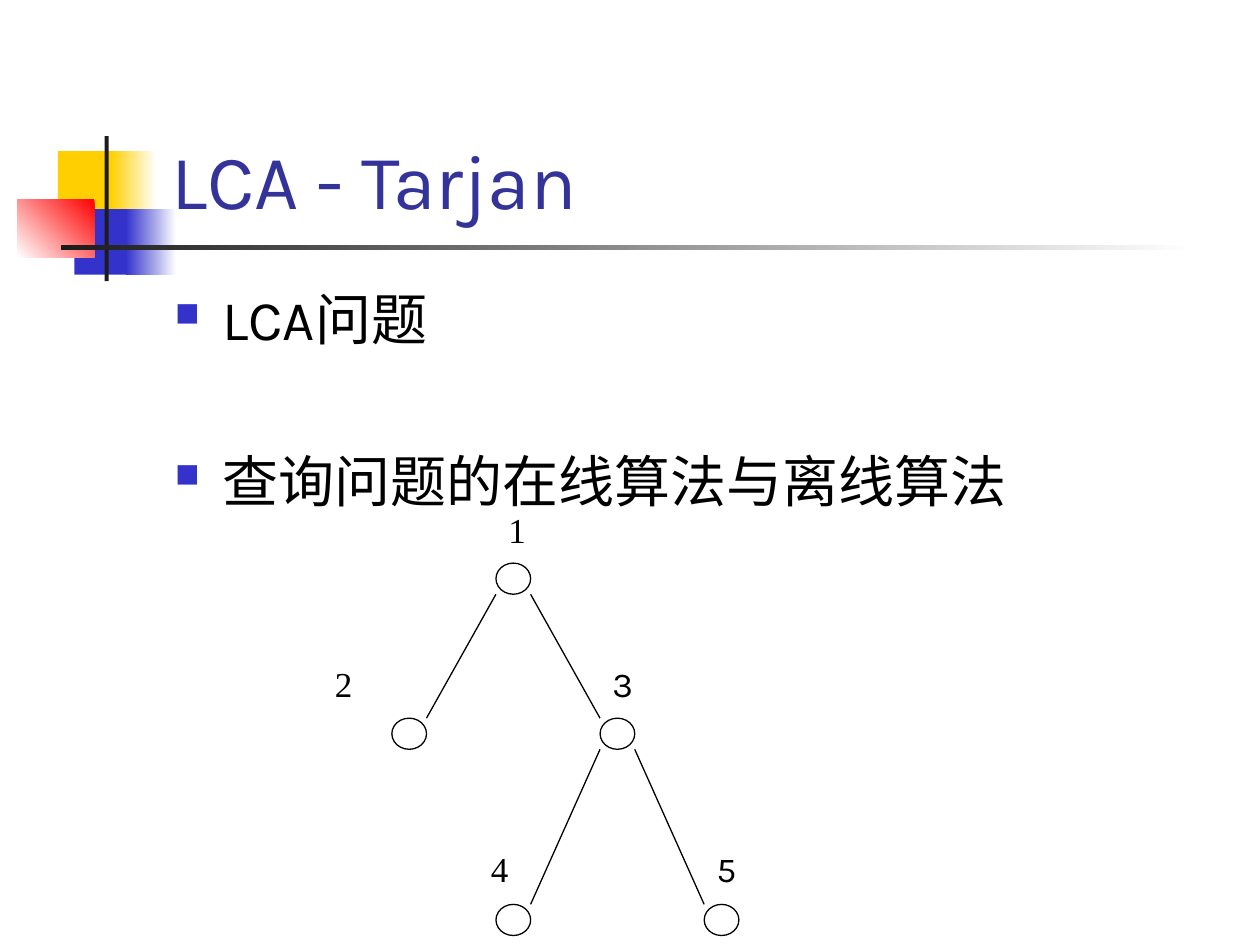
import pptx
import pptx.util
import pptx.dml.color
import pptx.enum.shapes
import pptx.enum.text
import pptx.oxml.ns
import lxml.etree

Pt = pptx.util.Pt
RGB = pptx.dml.color.RGBColor
SHAPE = pptx.enum.shapes.MSO_SHAPE
ANCHOR = pptx.enum.text.MSO_ANCHOR
ALIGN = pptx.enum.text.PP_ALIGN
qn = pptx.oxml.ns.qn

WHITE = RGB(0xFF, 0xFF, 0xFF)
BLACK = RGB(0, 0, 0)
YELLOW = RGB(0xFF, 0xCF, 0x01)
BLUE = RGB(0x33, 0x33, 0xCC)
RED = RGB(0xFF, 0, 0)
DARK = RGB(0x1C, 0x1C, 0x1C)
NAVY = RGB(0x33, 0x33, 0x99)
SANS, SERIF = "Karla", "Times New Roman"

TITLE = "LCA - Tarjan"
# text, space before
BULLETS = [("LCA问题", 8), ("查询问题的在线算法与离线算法", 54)]

# left, top, width, height, colours, counter-clockwise gradient angle
DECOR = [
    (33.1, 86.4, 34.6, 37.4, [YELLOW], 0),
    (63.4, 86.4, 25.9, 37.4, [WHITE, YELLOW], 180),
    (42.5, 119.5, 33.1, 37.4, [BLUE], 0),
    (72, 119.5, 28.8, 37.4, [WHITE, BLUE], 180),
    (10, 113.8, 44, 33.1, [RED, WHITE], 225),
    (59.8, 77.8, 2.3, 82.8, [DARK], 0),
    (34.6, 140.2, 648, 2.4, [WHITE, DARK], 180),
]

# name: column, level, label shift from the node's left, label font
NODES = {
    "1": (1, 0, 0, SERIF),
    "2": (0, 1, -39.6, SERIF),
    "3": (2, 1, 0, SANS),
    "4": (1, 2, -10, SERIF),
    "5": (3, 2, 0, SANS),
}
EDGES = [("1", "2"), ("1", "3"), ("3", "4"), ("3", "5")]
TREE_LEFT, COLUMN_STEP = 223.9, 59.5
LEVEL_TOPS, LABEL_TOPS = [321.8, 410.4, 516.8], [287.3, 375.1, 481]
NODE_W, NODE_H = 19.8, 17.8


def add_child(parent, tag, **attrs):
    child = lxml.etree.SubElement(parent, qn(tag))
    for name, value in attrs.items():
        child.set(name, value)
    return child


def add_shape(s, kind, box):
    sp = s.shapes.add_shape(kind, *map(Pt, box))
    sp.shadow.inherit = False
    return sp


def add_decor(s, box, colours, angle):
    sp = add_shape(s, SHAPE.RECTANGLE, box)
    sp.line.fill.background()
    if len(colours) == 1:
        sp.fill.solid()
        sp.fill.fore_color.rgb = colours[0]
    else:
        sp.fill.gradient()
        sp.fill.gradient_angle = angle
        for stop, colour in zip(sp.fill.gradient_stops, colours):
            stop.color.rgb = colour


def add_text_frame(s, box, anchor=ANCHOR.TOP):
    tf = s.shapes.add_textbox(*map(Pt, box)).text_frame
    tf.word_wrap = True
    tf.vertical_anchor = anchor
    return tf


def add_run(p, text, colour=BLACK, **fmt):
    r = p.add_run()
    r.text = text
    for name, value in fmt.items():
        setattr(r.font, name, value)
    r.font.color.rgb = colour
    add_child(r.font._element, "a:ea", typeface=fmt["name"])


def add_bullet(p):
    pPr = p._p.get_or_add_pPr()
    pPr.set("marL", str(Pt(27)))
    pPr.set("indent", str(-Pt(27)))
    add_child(add_child(pPr, "a:buClr"), "a:srgbClr", val=str(BLUE))
    add_child(pPr, "a:buSzPct", val="60000")
    add_child(pPr, "a:buChar", char="■")


def node_corner(name):
    column, level = NODES[name][:2]
    return TREE_LEFT + column * COLUMN_STEP, LEVEL_TOPS[level]


def add_edge(s, parent, child):
    """Join the parent's lower corner to the child's facing upper corner."""
    (px, py), (cx, cy) = node_corner(parent), node_corner(child)
    if cx < px:
        cx += NODE_W
    else:
        px += NODE_W
    line = s.shapes.add_connector(
        pptx.enum.shapes.MSO_CONNECTOR.STRAIGHT, Pt(px), Pt(py + NODE_H), Pt(cx), Pt(cy))
    line.line.color.rgb = BLACK
    line.line.width = Pt(0.75)
    add_child(line._element.spPr, "a:effectLst")


def add_node(s, name):
    sp = add_shape(s, SHAPE.OVAL, (*node_corner(name), NODE_W, NODE_H))
    sp.fill.solid()
    sp.fill.fore_color.rgb = WHITE
    sp.line.color.rgb = BLACK
    sp.line.width = Pt(0.75)


def add_label(s, name):
    _, level, shift, font = NODES[name]
    left = node_corner(name)[0] + shift
    p = add_text_frame(s, (left, LABEL_TOPS[level], 99.4, 53)).paragraphs[0]
    p.alignment = ALIGN.JUSTIFY
    add_run(p, name, name=font, size=Pt(20))


def main():
    prs = pptx.Presentation()
    prs.slide_width, prs.slide_height = Pt(720), Pt(540)
    s = prs.slides.add_slide(prs.slide_layouts[6])

    for *box, colours, angle in DECOR:
        add_decor(s, box, colours, angle)

    tf = add_text_frame(s, (90.7, 16.6, 613.4, 115.2), ANCHOR.BOTTOM)
    add_run(tf.paragraphs[0], TITLE, NAVY, name=SANS, size=Pt(44))

    tf = add_text_frame(s, (92.9, 159.1, 612, 324))
    for i, (text, space) in enumerate(BULLETS):
        p = tf.add_paragraph() if i else tf.paragraphs[0]
        p.space_before = Pt(space)
        add_bullet(p)
        add_run(p, text, name=SANS, size=Pt(32))

    for parent, child in EDGES:
        add_edge(s, parent, child)
    for name in NODES:
        add_node(s, name)
    for name in NODES:
        add_label(s, name)

    prs.save("out.pptx")


if __name__ == "__main__":
    main()
